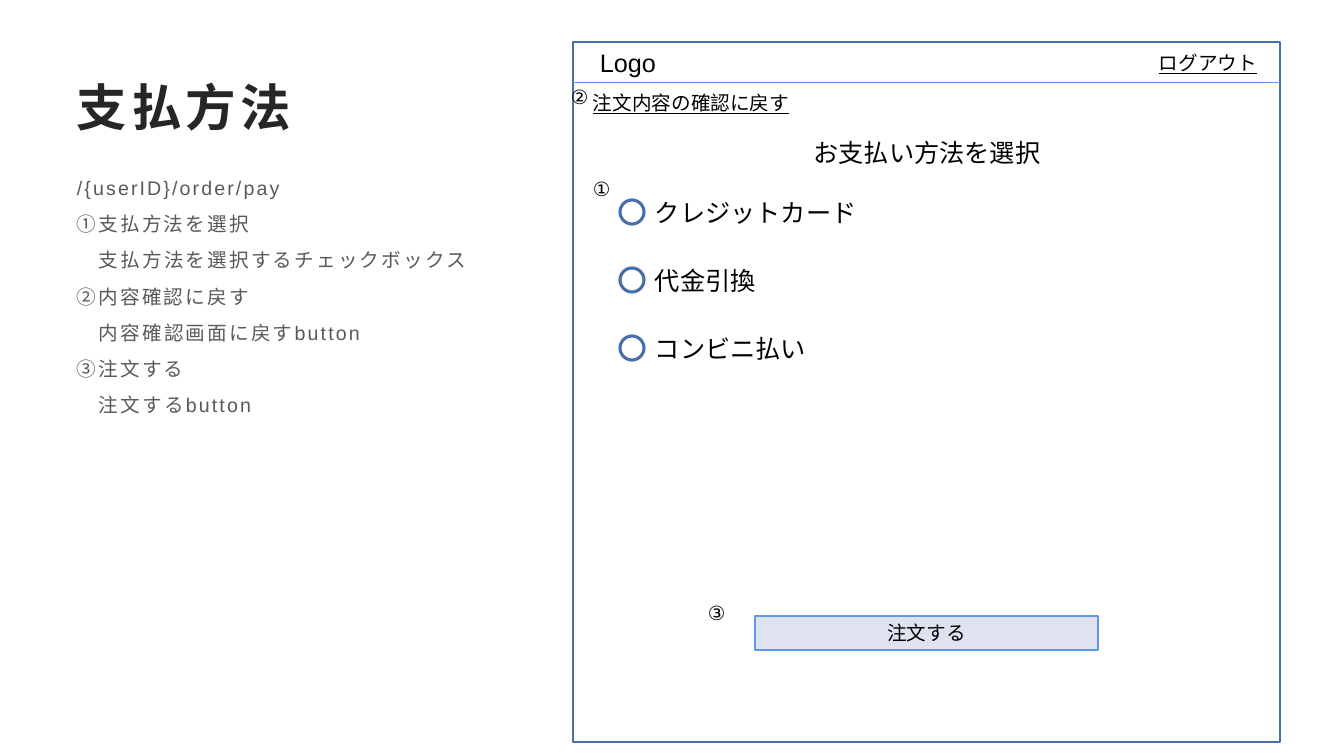
from typing import NamedTuple, Optional

from lxml.etree import SubElement
from pptx import Presentation
from pptx.dml.color import RGBColor
from pptx.enum.shapes import MSO_CONNECTOR, MSO_SHAPE
from pptx.enum.text import MSO_ANCHOR as Anchor, PP_ALIGN as Align
from pptx.oxml.ns import qn
from pptx.util import Pt

EMU_PER_PIXEL = 12192000 / 1344
FONT = "Arial"
BLACK = RGBColor(0x00, 0x00, 0x00)
TITLE_GRAY = RGBColor(0x26, 0x26, 0x26)
BODY_GRAY = RGBColor(0x59, 0x59, 0x59)
FRAME_BLUE = RGBColor(0x47, 0x6F, 0xAA)
ACCENT_BLUE = RGBColor(0x60, 0x96, 0xE6)
BUTTON_FILL = RGBColor(0xDF, 0xE3, 0xF1)


class Box(NamedTuple):
    left: int
    top: int
    width: int
    height: int


class Style(NamedTuple):
    size: int = 14
    color: RGBColor = BLACK
    bold: bool = False
    underline: bool = False
    tracking: float = 0
    align: Align = Align.LEFT
    anchor: Anchor = Anchor.TOP
    line_spacing: Optional[float] = None
    space_after: int = 0


class Line(NamedTuple):
    text: str
    indent: int = 0


class Label(NamedTuple):
    text: str
    box: Box
    style: Style = Style()


def px(pixels: int) -> int:
    return round(pixels * EMU_PER_PIXEL)


def place(box: Box) -> list[int]:
    return [px(value) for value in box]


def write(shape, lines: list[Line], style: Style) -> None:
    frame = shape.text_frame
    frame.word_wrap = True
    frame.vertical_anchor = style.anchor
    for index, line in enumerate(lines):
        paragraph = frame.paragraphs[0] if index == 0 else frame.add_paragraph()
        run = paragraph.add_run()
        run.text = line.text
        paragraph.alignment = style.align
        paragraph.line_spacing = style.line_spacing
        paragraph.space_after = Pt(style.space_after)
        font = paragraph.font
        font.name, font.size = FONT, Pt(style.size)
        font.bold, font.underline = style.bold, style.underline
        font.color.rgb = style.color
        if line.indent:
            paragraph._p.get_or_add_pPr().set("marL", str(px(line.indent)))
        if style.tracking:
            run._r.get_or_add_rPr().set("spc", str(round(style.tracking * 100)))


def add_text(box: Box, lines: list[Line], style: Style) -> None:
    write(slide.shapes.add_textbox(*place(box)), lines, style)


def add_outline(kind: MSO_SHAPE, box: Box, color: RGBColor, weight: float,
                fill: Optional[RGBColor] = None):
    shape = slide.shapes.add_shape(kind, *place(box))
    shape.shadow.inherit = False
    if fill is None:
        shape.fill.background()
    else:
        shape.fill.solid()
        shape.fill.fore_color.rgb = fill
    shape.line.color.rgb = color
    shape.line.width = Pt(weight)
    return shape


presentation = Presentation()
presentation.slide_width, presentation.slide_height = px(1344), px(756)
slide = presentation.slides.add_slide(presentation.slide_layouts[6])

# Title and description
add_text(Box(67, 67, 1210, 78), [Line("支払方法")],
         Style(36, TITLE_GRAY, bold=True, tracking=3, anchor=Anchor.MIDDLE))
DESCRIPTION = [
    Line("/{userID}/order/pay"),
    Line("①支払方法を選択"),
    Line("支払方法を選択するチェックボックス", 22),
    Line("②内容確認に戻す"),
    Line("内容確認画面に戻すbutton", 22),
    Line("③注文する"),
    Line("注文するbutton", 22),
]
add_text(Box(67, 164, 480, 524), DESCRIPTION,
         Style(color=BODY_GRAY, tracking=1.5, line_spacing=1.3, space_after=4))

# Screen frame and header rule
frame_box = Box(573, 42, 707, 700)
add_outline(MSO_SHAPE.RECTANGLE, frame_box, FRAME_BLUE, 1)
rule = slide.shapes.add_connector(
    MSO_CONNECTOR.STRAIGHT, px(frame_box.left), px(82),
    px(frame_box.left + frame_box.width), px(82))
rule.line.color.rgb = ACCENT_BLUE
rule.line.width = Pt(0.5)
SubElement(rule._element.spPr, qn("a:effectLst"))

# Screen texts and numbered markers
LINK = Style(underline=True)
LABELS = [
    Label("Logo", Box(590, 42, 86, 38), Style(18)),
    Label("ログアウト", Box(1149, 46, 131, 34), LINK),
    Label("注文内容の確認に戻す", Box(583, 86, 418, 34), LINK),
    Label("お支払い方法を選択", Box(591, 132, 672, 40), Style(18, align=Align.CENTER)),
    Label("①", Box(583, 172, 672, 34)),
    Label("②", Box(561, 80, 672, 34)),
    Label("③", Box(698, 596, 646, 34)),
]
for label in LABELS:
    add_text(label.box, [Line(label.text)], label.style)

# Payment options
OPTION_TOP, OPTION_PITCH = 192, 68
for row, option in enumerate(["クレジットカード", "代金引換", "コンビニ払い"]):
    top = OPTION_TOP + row * OPTION_PITCH
    add_text(Box(645, top, 672, 40), [Line(option)], Style(18))
    add_outline(MSO_SHAPE.OVAL, Box(620, top + 8, 24, 24), FRAME_BLUE, 2.25)

# Order button
button = add_outline(MSO_SHAPE.RECTANGLE, Box(755, 616, 343, 34),
                     ACCENT_BLUE, 1, BUTTON_FILL)
write(button, [Line("注文する")], Style(align=Align.CENTER, anchor=Anchor.MIDDLE))

presentation.save("out.pptx")
